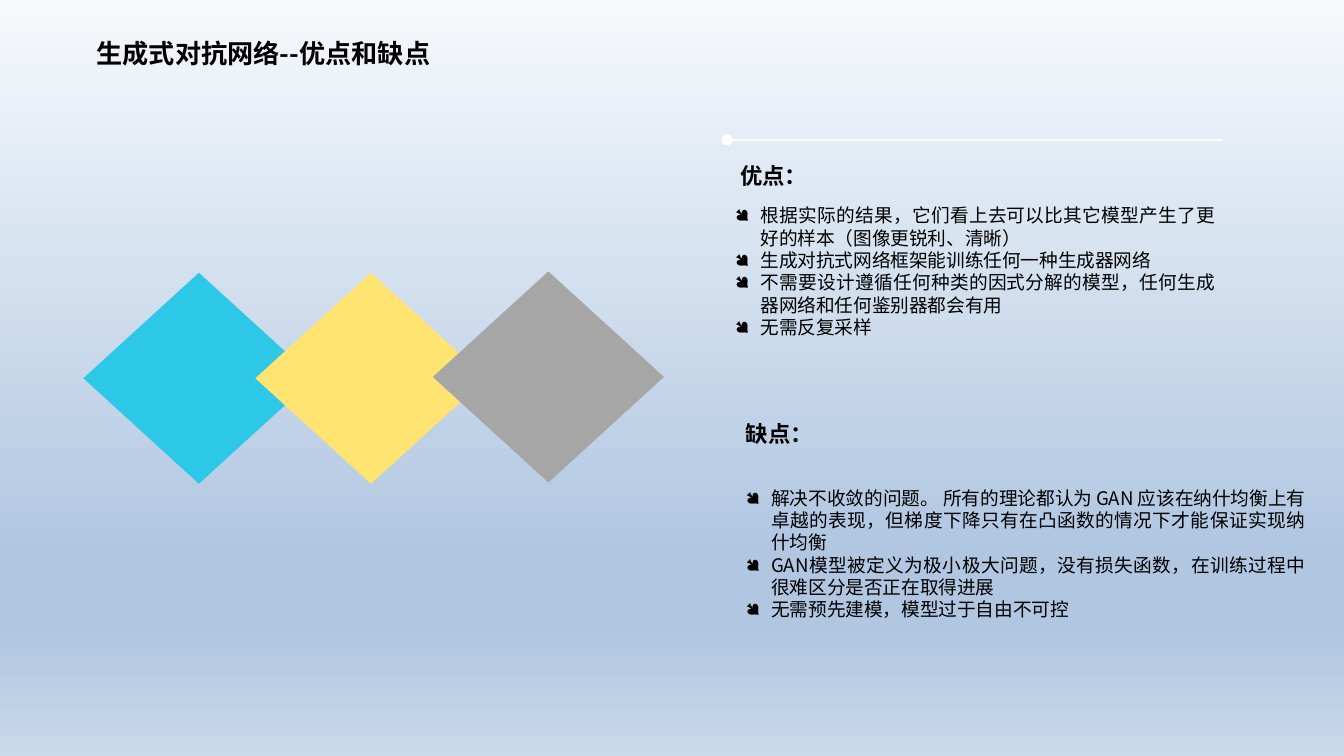
from dataclasses import dataclass

from lxml import etree
from pptx import Presentation
from pptx import util as u
from pptx.dml.color import RGBColor
from pptx.enum import shapes, text
from pptx.oxml.ns import qn


@dataclass(frozen=True)
class Theme:
    font: str = "Noto Sans CJK SC"
    mark: str = "Wingdings"
    ink: str = "000000"
    rule: str = "FFFFFF"
    cyan: str = "2DC8E7"
    yellow: str = "FFE471"
    gray: str = "A6A6A6"
    sky: tuple = ((0, "F6F9FC"), (74, "B0C6E1"), (83, "B0C6E1"), (100, "CAD9EB"))
    title: int = 14
    head: int = 12
    body: int = 10
    lead: float = 1.2
    hang: float = 0.19


PROS = [
    "根据实际的结果，它们看上去可以比其它模型产生了更好的样本（图像更锐利、清晰）",
    "生成对抗式网络框架能训练任何一种生成器网络",
    "不需要设计遵循任何种类的因式分解的模型，任何生成器网络和任何鉴别器都会有用",
    "无需反复采样",
]
CONS = [
    "解决不收敛的问题。 所有的理论都认为 GAN 应该在纳什均衡上有卓越的表现，但梯度下降只有在凸函数的情况下才能保证实现纳什均衡",
    "GAN模型被定义为极小极大问题，没有损失函数，在训练过程中很难区分是否正在取得进展",
    "无需预先建模，模型过于自由不可控",
]


def bullet(para, theme):
    props = para._p.get_or_add_pPr()
    props.set("marL", str(u.Inches(theme.hang)))
    props.set("indent", str(-u.Inches(theme.hang)))
    etree.SubElement(props, qn("a:buFont"), typeface=theme.mark)
    etree.SubElement(props, qn("a:buChar"), char="●")


def write(para, words, theme, size, bold=False):
    para.line_spacing = u.Pt(size * theme.lead)
    run = para.add_run()
    run.text = words
    font = run.font
    font.size, font.bold, font.name = u.Pt(size), bold, theme.font
    font.color.rgb = RGBColor.from_string(theme.ink)
    etree.SubElement(run._r.get_or_add_rPr(), qn("a:ea"), typeface=theme.font)


class Painter:
    def __init__(self, slide, theme):
        self.slide, self.theme = slide, theme

    def backdrop(self):
        fill = self.slide.background.fill
        fill.gradient()
        fill.gradient_angle = 270
        stops = self.slide._element.find(".//" + qn("a:gsLst"))
        for old in list(stops):
            stops.remove(old)
        for place, color in self.theme.sky:
            stop = etree.SubElement(stops, qn("a:gs"), pos=str(place * 1000))
            etree.SubElement(stop, qn("a:srgbClr"), val=color)

    def frame(self, left, top, width, height):
        box = self.slide.shapes.add_textbox(*map(u.Inches, (left, top, width, height)))
        box.text_frame.word_wrap = True
        return box.text_frame

    def label(self, words, area, size):
        write(self.frame(*area).paragraphs[0], words, self.theme, size, bold=True)

    def points(self, items, area):
        frame = self.frame(*area)
        for i, item in enumerate(items):
            para = frame.add_paragraph() if i else frame.paragraphs[0]
            bullet(para, self.theme)
            para.alignment = text.PP_ALIGN.JUSTIFY
            write(para, item, self.theme, self.theme.body)

    def rule(self, left, right, y):
        """Draw a level line with a dot at its left end."""
        line = self.slide.shapes.add_connector(
            shapes.MSO_CONNECTOR.STRAIGHT, *map(u.Inches, (left, y, right, y)))
        line.line.color.rgb = RGBColor.from_string(self.theme.rule)
        line.line.width = u.Pt(1)
        etree.SubElement(line.line._get_or_add_ln(), qn("a:headEnd"), type="oval")
        etree.SubElement(line._element.spPr, qn("a:effectLst"))

    def diamond(self, left, top, color):
        gem = self.slide.shapes.add_shape(
            shapes.MSO_SHAPE.DIAMOND, *map(u.Inches, (left, top, 1.72, 1.57)))
        gem.shadow.inherit = False
        gem.fill.solid()
        gem.fill.fore_color.rgb = RGBColor.from_string(color)
        gem.line.fill.background()


def main():
    deck = Presentation()
    deck.slide_width = u.Inches(10)
    deck.slide_height = deck.slide_width * 9 // 16
    theme = Theme()
    page = Painter(deck.slides.add_slide(deck.slide_layouts[6]), theme)

    page.backdrop()
    page.points(PROS, (5.37, 1.47, 3.77, 1.11))
    page.label("优点：", (5.41, 1.16, 2.36, 0.3), theme.head)
    page.rule(5.41, 9.1, 1.04)
    page.label("生成式对抗网络--优点和缺点", (0.62, 0.23, 2.7, 0.34), theme.title)
    page.points(CONS, (5.45, 3.57, 4.36, 1.11))
    page.label("缺点：", (5.45, 3.08, 2.37, 0.3), theme.head)
    for left, top, color in ((0.62, 2.03, theme.cyan), (1.9, 2.03, theme.yellow),
                             (3.22, 2.02, theme.gray)):
        page.diamond(left, top, color)
    deck.save("out.pptx")


if __name__ == "__main__":
    main()
